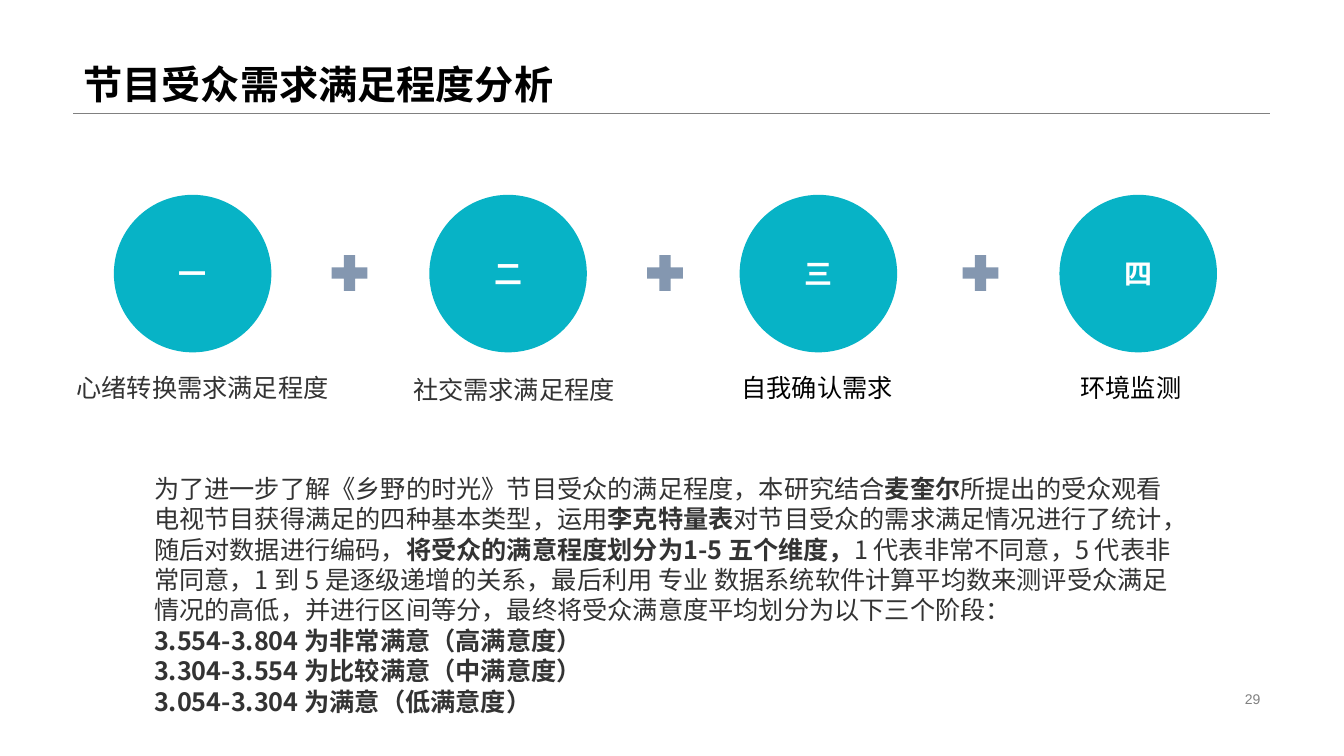
"""Build the slide on how well audience needs are met."""
from dataclasses import dataclass

from lxml.etree import SubElement
from pptx import Presentation
from pptx.dml.color import RGBColor
from pptx.enum.shapes import MSO_CONNECTOR, MSO_SHAPE
from pptx.enum.text import MSO_ANCHOR, MSO_AUTO_SIZE, PP_ALIGN
from pptx.oxml.ns import qn
from pptx.util import Cm, Pt

BLACK = RGBColor(0x00, 0x00, 0x00)
WHITE = RGBColor(0xFF, 0xFF, 0xFF)
DARK = RGBColor(0x33, 0x33, 0x33)
GRAY = RGBColor(0x80, 0x80, 0x80)
TEAL = RGBColor(0x07, 0xB3, 0xC6)
SLATE = RGBColor(0x84, 0x97, 0xB0)
CJK_FONT = "Noto Sans CJK SC"


@dataclass(frozen=True)
class Need:
    """One audience need: its circle and the label below."""

    number: str
    label: str
    circle_left: float
    label_left: float
    label_top: float
    label_width: float
    indent: float
    font: str
    color: RGBColor


@dataclass(frozen=True)
class Span:
    """A stretch of body text with one weight."""

    text: str
    bold: bool = False


NEEDS = [
    Need("一", "心绪转换需求满足程度", 2.87, 1.68, 8.97, 6.8, 0, "Lato", DARK),
    Need("二", "社交需求满足程度", 10.82, 10.01, 9.02, 6.32, 0.15, "Lato", DARK),
    Need("三", "自我确认需求", 18.64, 17.58, 8.97, 6.32, 0.86, CJK_FONT, BLACK),
    Need("四", "环境监测", 26.7, 26.7, 8.97, 5.16, 0.28, CJK_FONT, BLACK),
]

BODY = [
    [
        Span("为了进一步了解《乡野的时光》节目受众的满足程度，本研究结合"),
        Span("麦奎尔", True),
        Span("所提出的受众观看电视节目获得满足的四种基本类型，运用"),
        Span("李克特量表", True),
        Span("对节目受众的需求满足情况进行了统计，随后对数据进行编码，"),
        Span("将受众的满意程度划分为1-5 五个维度，", True),
        Span("1 代表非常不同意，5 代表非常同意，1 到 5 是逐级递增的关系，"
             "最后利用 专业 数据系统软件计算平均数来测评受众满足情况的高低，"
             "并进行区间等分，最终将受众满意度平均划分为以下三个阶段："),
    ],
    [Span("3.554-3.804 为非常满意（高满意度）", True)],
    [Span("3.304-3.554 为比较满意（中满意度）", True)],
    [Span("3.054-3.304 为满意（低满意度）", True)],
]


def set_values(target, values: dict) -> None:
    """Set every attribute named in the dict."""
    for name, value in values.items():
        setattr(target, name, value)


def add_span(para, text: str, size: float, font: str, color: RGBColor, bold: bool = False) -> None:
    """Append a formatted run to a paragraph."""
    span = para.add_run()
    span.text = text
    set_values(span.font, {"size": Pt(size), "name": font, "bold": bold})
    span.font.color.rgb = color
    SubElement(span.font._element, qn("a:ea")).set("typeface", CJK_FONT)


def place(box, left: float, top: float, width: float, height: float) -> None:
    """Move and size a shape in centimetres."""
    set_values(box, {"left": Cm(left), "top": Cm(top), "width": Cm(width), "height": Cm(height)})


def add_figure(page, kind: MSO_SHAPE, left: float, top: float, size: float, color: RGBColor):
    """Add a square preset shape with a plain fill."""
    figure = page.shapes.add_shape(kind, Cm(left), Cm(top), Cm(size), Cm(size))
    figure.shadow.inherit = False
    figure.fill.solid()
    figure.fill.fore_color.rgb = color
    figure.line.fill.background()
    return figure


def add_need(page, need: Need) -> None:
    """Draw a numbered circle and its label."""
    circle = add_figure(page, MSO_SHAPE.OVAL, need.circle_left, 4.91, 3.97, TEAL)
    set_values(circle.text_frame, {"vertical_anchor": MSO_ANCHOR.MIDDLE, "word_wrap": False})
    para = circle.text_frame.paragraphs[0]
    para.alignment = PP_ALIGN.CENTER
    add_span(para, need.number, 20, "Arial", WHITE, True)

    box = page.shapes.add_textbox(
        Cm(need.label_left), Cm(need.label_top), Cm(need.label_width), Cm(1.22))
    set_values(box.text_frame, {
        "vertical_anchor": MSO_ANCHOR.BOTTOM, "word_wrap": True,
        "margin_left": Cm(0.25 + need.indent), "margin_right": 0, "margin_bottom": Cm(0.05)})
    add_span(box.text_frame.paragraphs[0], need.label, 18, need.font, need.color)


def add_heading(page) -> None:
    """Fill the title and draw the rule below it."""
    title = page.shapes.title
    place(title, 1.85, 0, 30.15, 2.84)
    set_values(title.text_frame, {
        "vertical_anchor": MSO_ANCHOR.BOTTOM, "auto_size": MSO_AUTO_SIZE.NONE})
    para = title.text_frame.paragraphs[0]
    set_values(para, {"alignment": PP_ALIGN.LEFT, "line_spacing": 0.9})
    add_span(para, "节目受众需求满足程度分析", 28, "Lato", BLACK, True)

    rule = page.shapes.add_connector(
        MSO_CONNECTOR.STRAIGHT, Cm(1.85), Cm(2.84), Cm(32), Cm(2.84))
    rule.line.color.rgb = GRAY
    rule.line.width = Pt(0.25)
    SubElement(rule._element.spPr, qn("a:effectLst"))


def add_body(page) -> None:
    """Fill the body placeholder with unbulleted paragraphs."""
    body = page.placeholders[1]
    place(body, 3.63, 11.79, 26.26, 6.4)
    frame = body.text_frame
    frame.auto_size = MSO_AUTO_SIZE.NONE
    for index, spans in enumerate(BODY):
        para = frame.add_paragraph() if index else frame.paragraphs[0]
        properties = para._p.get_or_add_pPr()
        for name in ("marL", "indent"):
            properties.set(name, "0")
        SubElement(properties, qn("a:buNone"))
        set_values(para, {"line_spacing": Pt(21.7), "space_before": Pt(0)})
        for span in spans:
            add_span(para, span.text, 18, CJK_FONT, DARK, span.bold)


def add_page_number(page) -> None:
    """Write the page number at the lower right."""
    box = page.shapes.add_textbox(Cm(23.93), Cm(17.32), Cm(8.08), Cm(0.58))
    set_values(box.text_frame, {"vertical_anchor": MSO_ANCHOR.MIDDLE, "word_wrap": True})
    para = box.text_frame.paragraphs[0]
    para.alignment = PP_ALIGN.RIGHT
    add_span(para, "29", 10, "Arial", GRAY)


def main() -> None:
    """Assemble and save the deck."""
    deck = Presentation()
    set_values(deck, {"slide_width": Cm(33.87), "slide_height": Cm(19.05)})
    page = deck.slides.add_slide(deck.slide_layouts[1])
    add_heading(page)
    for index in range(len(NEEDS) - 1):
        add_figure(page, MSO_SHAPE.MATH_PLUS, 8.2 + 7.95 * index, 6.27, 1.22, SLATE)
    for need in NEEDS:
        add_need(page, need)
    add_body(page)
    add_page_number(page)
    deck.save("out.pptx")


if __name__ == "__main__":
    main()
